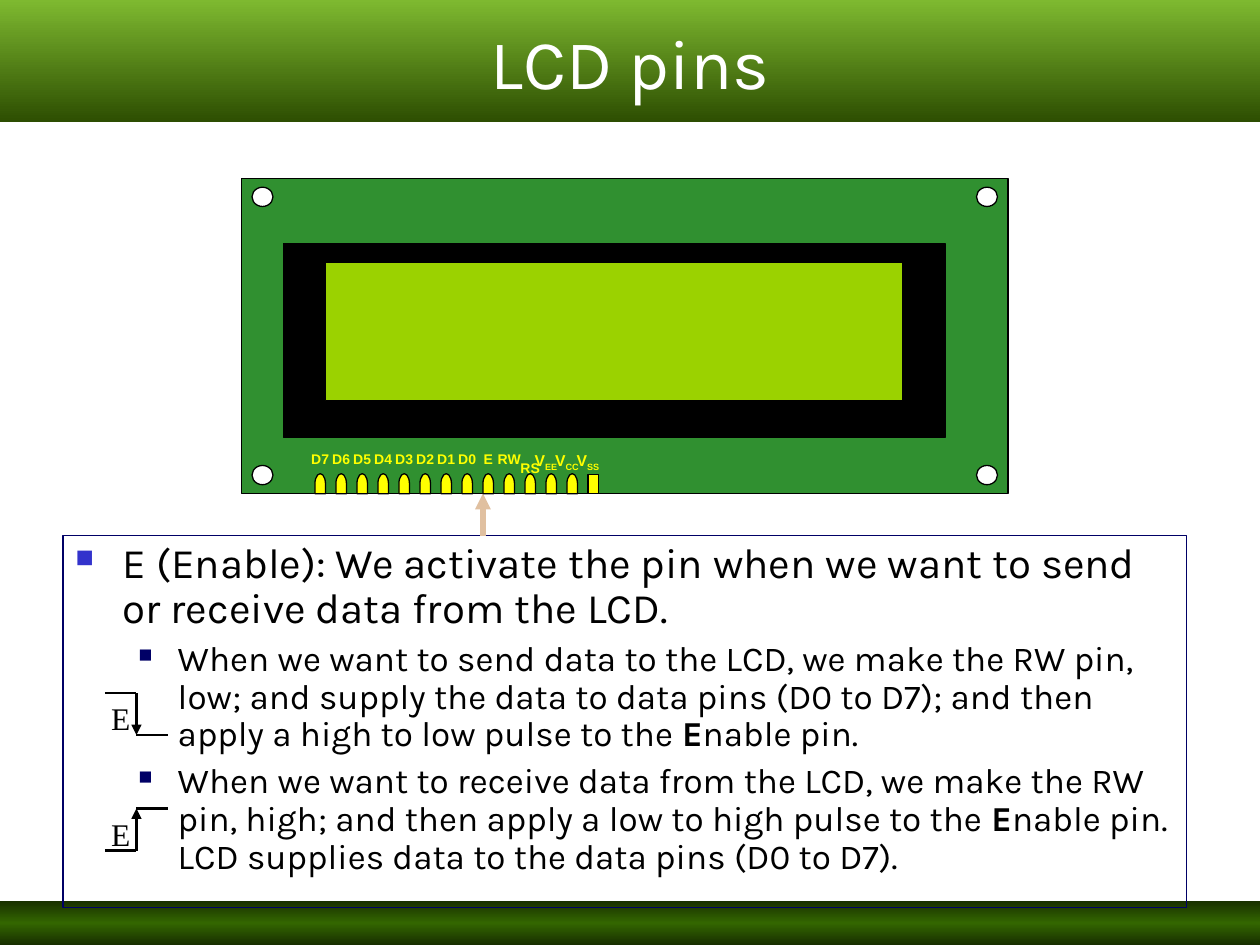
from copy import deepcopy
from dataclasses import dataclass

from lxml import etree
from pptx import Presentation
from pptx.dml.color import RGBColor
from pptx.enum.shapes import MSO_CONNECTOR, MSO_SHAPE
from pptx.enum.text import MSO_ANCHOR, PP_ALIGN
from pptx.oxml.ns import qn
from pptx.util import Pt

RECT, OVAL, DELAY = MSO_SHAPE.RECTANGLE, MSO_SHAPE.OVAL, MSO_SHAPE.FLOWCHART_DELAY
STRAIGHT = MSO_CONNECTOR.STRAIGHT
CENTER, LEFT = PP_ALIGN.CENTER, PP_ALIGN.LEFT
TOP, MIDDLE = MSO_ANCHOR.TOP, MSO_ANCHOR.MIDDLE

COLORS = {
    "title_top": "7EB930", "title_bottom": "2D4E01",
    "footer_edge": "182F00", "footer_middle": "336600",
    "board": "309030", "screen": "9BD200", "pin": "FFFF00",
    "black": "000000", "white": "FFFFFF", "navy": "000066",
    "bullet": "3333CC", "pointer": "E0C0A0",
}
PIN_PITCH = 12
FIRST_PIN_CENTER = 183
BOARD_BOTTOM = 282


@dataclass
class Pin:
    name: str
    subscript: str = ""
    label_top: float = 254
    label_width: float = 30
    shift: float = 0
    size: float = 8


@dataclass
class Level:
    number: int
    margin: float
    hanging: float
    before: float
    size: float
    bullet_color: str
    bullet_percent: int


@dataclass
class Point:
    level: Level
    runs: list[tuple[str, bool]]


@dataclass
class Pulse:
    top: float
    rising: bool


MAIN = Level(0, 27, 27, 0, 24, "bullet", 60)
DETAIL = Level(1, 58.5, 22.5, 5, 20, "navy", 55)

PINS = [Pin(f"D{bit}") for bit in range(7, -1, -1)]
PINS += [Pin("E"), Pin("RW"), Pin("RS", label_top=259)]
PINS += [Pin("V", sub, label_width=36, shift=-3, size=9) for sub in ("EE", "CC", "SS")]

POINTS = [
    Point(MAIN, [("E (Enable): We activate the pin when we want to send or "
                  "receive data from the LCD.", False)]),
    Point(DETAIL, [("When we want to send data to the LCD, we make the RW pin, low; "
                    "and supply the data to data pins (D0 to D7); and then apply a "
                    "high to low pulse to the ", False),
                   ("E", True), ("nable pin.", False)]),
    Point(DETAIL, [("When we want to receive data from the LCD, we make the RW pin, "
                    "high; and then apply a low to high pulse to the ", False),
                   ("E", True),
                   ("nable pin. LCD supplies data to the data pins (D0 to D7).", False)]),
]
PULSES = [Pulse(396, False), Pulse(462, True)]


def rgb(name: str) -> RGBColor:
    return RGBColor.from_string(COLORS[name])


def format_font(run, font_name: str, size: float, color: str, bold: bool = False) -> None:
    run.font.name = font_name
    run.font.size = Pt(size)
    run.font.bold = bold
    run.font.color.rgb = rgb(color)


def fill_gradient(shape, color_names: list[str]) -> None:
    """Fill from top to bottom with evenly spaced colours."""
    shape.fill.gradient()
    shape.fill.gradient_angle = 270
    stop_list = shape._element.spPr.find(qn("a:gradFill")).find(qn("a:gsLst"))
    while len(stop_list) < len(color_names):
        stop_list.append(deepcopy(stop_list[0]))
    for i, (stop, name) in enumerate(zip(shape.fill.gradient_stops, color_names)):
        stop.position = i / (len(color_names) - 1)
        stop.color.rgb = rgb(name)


def add_part(shapes, kind, left: float, top: float, width: float, height: float, color: str):
    part = shapes.add_shape(kind, Pt(left), Pt(top), Pt(width), Pt(height))
    part.shadow.inherit = False
    part.fill.solid()
    part.fill.fore_color.rgb = rgb(color)
    part.line.color.rgb = rgb("black")
    part.line.width = Pt(0.75)
    return part


def add_line(shapes, start: tuple[float, float], end: tuple[float, float],
             color: str = "black", width: float = 1.5, arrow: bool = False) -> None:
    line = shapes.add_connector(STRAIGHT, *(Pt(value) for value in start + end))
    line.line.color.rgb = rgb(color)
    line.line.width = Pt(width)
    if arrow:
        etree.SubElement(line.line._get_or_add_ln(), qn("a:tailEnd"), type="triangle")
    etree.SubElement(line._element.spPr, qn("a:effectLst"))


def add_text_frame(shapes, left: float, top: float, width: float, height: float):
    box = shapes.add_textbox(Pt(left), Pt(top), Pt(width), Pt(height))
    box.text_frame.word_wrap = True
    box.text_frame.vertical_anchor = TOP
    return box, box.text_frame


def add_label(shapes, left: float, top: float, width: float, height: float, text: str,
              font_name: str, size: float, color: str, bold: bool = False):
    _, frame = add_text_frame(shapes, left, top, width, height)
    frame.text = text
    label = frame.paragraphs[0]
    label.alignment = CENTER
    format_font(label.runs[0], font_name, size, color, bold)
    return label


def add_pin(shapes, index: int, pin: Pin) -> None:
    center = FIRST_PIN_CENTER + index * PIN_PITCH
    if pin is PINS[-1]:
        add_part(shapes, RECT, center - 3, BOARD_BOTTOM - 10.8, 6, 10.8, "pin")
    else:
        contact = add_part(shapes, DELAY, center - 5.75, BOARD_BOTTOM - 8.6, 11.5, 6, "pin")
        contact.rotation = 270
    label = add_label(shapes, center + pin.shift - pin.label_width / 2, pin.label_top,
                      pin.label_width, 18, pin.name, "Arial", pin.size, "pin", True)
    if pin.subscript:
        subscript = label.add_run()
        subscript.text = pin.subscript
        format_font(subscript, "Arial", pin.size, "pin", True)
        subscript.font._element.set("baseline", "-25000")


def add_point(paragraph, point: Point) -> None:
    level = point.level
    paragraph.level = level.number
    paragraph.alignment = LEFT
    paragraph.line_spacing = 0.9
    paragraph.space_before = Pt(level.before)
    properties = paragraph._p.get_or_add_pPr()
    properties.set("marL", str(Pt(level.margin)))
    properties.set("indent", str(-Pt(level.hanging)))
    bullet_color = etree.SubElement(properties, qn("a:buClr"))
    etree.SubElement(bullet_color, qn("a:srgbClr"), val=COLORS[level.bullet_color])
    etree.SubElement(properties, qn("a:buSzPct"), val=str(level.bullet_percent * 1000))
    etree.SubElement(properties, qn("a:buChar"), char="■")
    for text, bold in point.runs:
        run = paragraph.add_run()
        run.text = text
        format_font(run, "Karla", level.size, "black", bold)


def add_pulse(shapes, pulse: Pulse) -> None:
    high, low = pulse.top, pulse.top + 24
    before, after = (low, high) if pulse.rising else (high, low)
    add_line(shapes, (60, before), (78, before))
    add_line(shapes, (78, before), (78, after), arrow=True)
    add_line(shapes, (78, after), (96, after))
    add_label(shapes, 54, pulse.top, 30, 29, "E", "Times New Roman", 18, "black")


def main() -> None:
    prs = Presentation()
    prs.slide_width, prs.slide_height = Pt(720), Pt(540)
    slide = prs.slides.add_slide(prs.slide_layouts[5])
    shapes = slide.shapes

    # Footer band
    footer = add_part(shapes, RECT, 0, 514.8, 720, 25.2, "footer_edge")
    fill_gradient(footer, ["footer_edge", "footer_middle", "footer_edge"])
    footer.line.fill.background()

    # Title band
    title = shapes.title
    title.left, title.top, title.width, title.height = Pt(0), Pt(0), Pt(720), Pt(70)
    fill_gradient(title, ["title_top", "title_bottom"])
    title.text_frame.text = "LCD pins"
    title.text_frame.vertical_anchor = MIDDLE
    title.text_frame.paragraphs[0].alignment = CENTER
    format_font(title.text_frame.paragraphs[0].runs[0], "Karla", 40, "white")

    # Explanation of the enable pin
    explanation, frame = add_text_frame(shapes, 36, 306, 642, 212.4)
    explanation.line.color.rgb = rgb("navy")
    explanation.line.width = Pt(0.75)
    for i, point in enumerate(POINTS):
        add_point(frame.add_paragraph() if i else frame.paragraphs[0], point)
    add_line(shapes, (276, 306), (276, BOARD_BOTTOM), "pointer", 3, arrow=True)

    # Pulse diagrams
    for pulse in PULSES:
        add_pulse(shapes.add_group_shape().shapes, pulse)

    # LCD board with screen, mounting holes and pins
    board = shapes.add_group_shape().shapes
    add_part(board, RECT, 138, 102, 438, 180, "board")
    add_part(board, RECT, 162, 139, 378, 111, "black")
    add_part(board, RECT, 186, 150, 330, 79, "screen")
    for hole_left in (144, 558):
        for hole_top in (107, 266):
            add_part(board, OVAL, hole_left, hole_top, 12, 11, "white")
    for i, pin in enumerate(PINS):
        add_pin(board, i, pin)

    prs.save("out.pptx")


if __name__ == "__main__":
    main()
